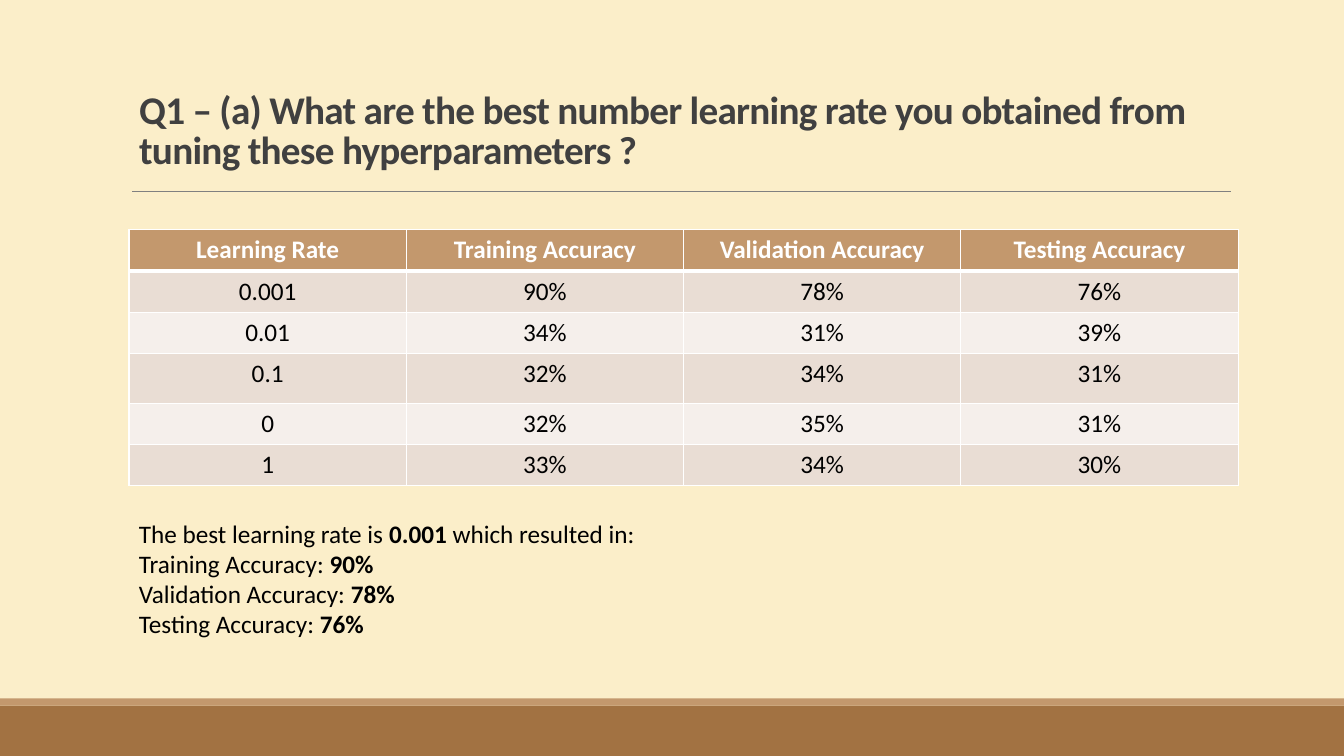
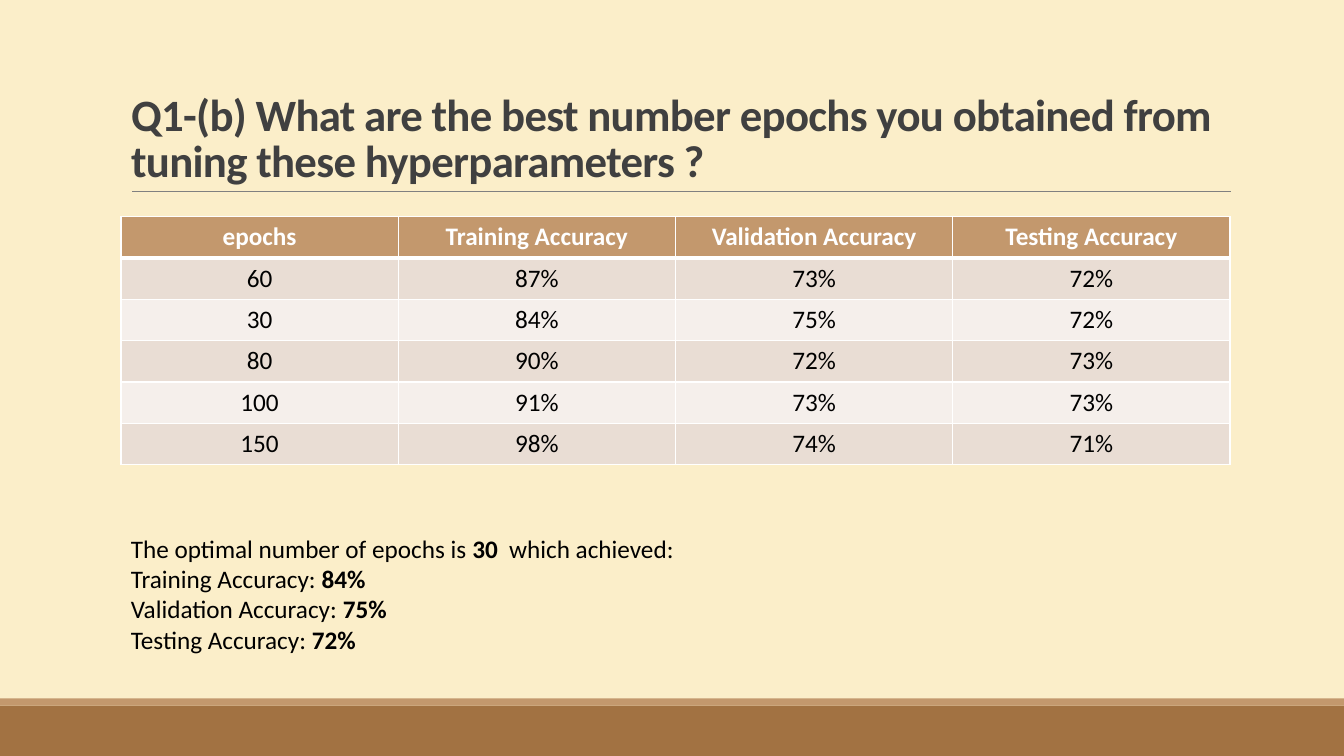
from pptx import Presentation
from pptx.dml.color import RGBColor
from pptx.enum.shapes import MSO_CONNECTOR as CONN, MSO_SHAPE as SHAPE
from pptx.enum.text import MSO_ANCHOR as ANCHOR, MSO_AUTO_SIZE as AUTO, PP_ALIGN as ALIGN
from pptx.oxml.ns import qn
from pptx.util import Pt
from lxml.etree import SubElement, Element

PX = 9144
W, H = 1333, 750
FONT = "Calibri"
TITLE_ONLY = 5
C = {
    "page": "FBEEC9", "footer": "A27242", "accent": "C3986D", "rule": "808080",
    "title": "404040", "text": "000000", "white": "FFFFFF",
    "odd": "E9DDD4", "even": "F5EFEB",
}
BANDS = [("footer", 700, 50), ("accent", 693, 7)]
RULE = (131, 1221, 190)
TABLE_W, ROW_H = 1100, 41
ACCURACIES = ["Training Accuracy", "Validation Accuracy", "Testing Accuracy"]

SLIDES = [
    {
        "title": "Q1 – (a) What are the best number learning rate you obtained from "
                 "tuning these hyperparameters ?",
        "title_box": (128, 17, 1102, 159), "title_size": 28,
        "table_at": (128, 228), "tall_rows": {3: 49},
        "factor": "Learning Rate",
        "rows": [
            ("0.001", "90%", "78%", "76%"),
            ("0.01", "34%", "31%", "39%"),
            ("0.1", "32%", "34%", "31%"),
            ("0", "32%", "35%", "31%"),
            ("1", "33%", "34%", "30%"),
        ],
        "best": 0,
        "summary": ("The best learning rate is ", " which resulted in:"),
        "summary_box": (128, 509, 1100, 162),
    },
    {
        "title": "Q1-(b) What are the best number epochs you obtained from "
                 "tuning these hyperparameters ?",
        "title_box": (120, 31, 1100, 159), "title_size": 32,
        "table_at": (120, 215), "tall_rows": {},
        "factor": "epochs",
        "rows": [
            ("60", "87%", "73%", "72%"),
            ("30", "84%", "75%", "72%"),
            ("80", "90%", "72%", "73%"),
            ("100", "91%", "73%", "73%"),
            ("150", "98%", "74%", "71%"),
        ],
        "best": 1,
        "summary": ("The optimal number of epochs is ", "  which achieved:"),
        "summary_box": (120, 524, 1100, 162),
    },
]


def px(*values):
    return [v * PX for v in values]


def rgb(name):
    return RGBColor.from_string(C[name])


def set_font(font, size, color, bold=None):
    font.name, font.size, font.bold = FONT, Pt(size), bold
    font.color.rgb = rgb(color)


def add_frame(slide):
    for color, top, height in BANDS:
        sp = slide.shapes.add_shape(SHAPE.RECTANGLE, *px(0, top, W, height))
        sp.shadow.inherit = False
        sp.fill.solid()
        sp.fill.fore_color.rgb = rgb(color)
        sp.line.fill.background()
    left, right, y = RULE
    rule = slide.shapes.add_connector(CONN.STRAIGHT, *px(left, y, right, y))
    rule.line.color.rgb = rgb("rule")
    rule.line.width = Pt(0.5)
    SubElement(rule._element.spPr, qn("a:effectLst"))


def add_title(slide, text, box, size):
    sp = slide.shapes.title
    sp.left, sp.top, sp.width, sp.height = px(*box)
    tf = sp.text_frame
    tf.text = text
    tf.word_wrap, tf.auto_size, tf.vertical_anchor = True, AUTO.NONE, ANCHOR.BOTTOM
    p = tf.paragraphs[0]
    p.alignment, p.line_spacing = ALIGN.LEFT, 0.85
    set_font(p.font, size, "title", True)
    p.runs[0]._r.get_or_add_rPr().set("spc", "-50")


def set_borders(cell, widths):
    tcPr = cell._tc.get_or_add_tcPr()
    for i, (side, width) in enumerate(widths.items()):
        ln = Element(qn(f"a:ln{side}"), w=str(Pt(width)))
        SubElement(SubElement(ln, qn("a:solidFill")), qn("a:srgbClr"), val=C["white"])
        tcPr.insert(i, ln)


def add_results(slide, at, rows, tall_rows):
    heights = [tall_rows.get(i, ROW_H) for i in range(len(rows))]
    n_cols = len(rows[0])
    table = slide.shapes.add_table(
        len(rows), n_cols, *px(*at, TABLE_W, sum(heights))).table
    for col in table.columns:
        col.width = TABLE_W // n_cols * PX
    for r, values in enumerate(rows):
        table.rows[r].height = heights[r] * PX
        fill = "accent" if r == 0 else "odd" if r % 2 else "even"
        for c, value in enumerate(values):
            cell = table.cell(r, c)
            cell.text = value
            cell.fill.solid()
            cell.fill.fore_color.rgb = rgb(fill)
            set_borders(cell, {"L": 1, "R": 1, "T": 3 if r == 1 else 1, "B": 3 if r == 0 else 1})
            p = cell.text_frame.paragraphs[0]
            p.alignment = ALIGN.CENTER
            set_font(p.font, 18, "text" if r else "white", r == 0)


def add_summary(slide, box, lines):
    tf = slide.shapes.add_textbox(*px(*box)).text_frame
    tf.word_wrap = True
    for i, (before, value, after) in enumerate(lines):
        p = tf.paragraphs[0] if i == 0 else tf.add_paragraph()
        set_font(p.font, 18, "text")
        for text, bold in ((before, False), (value, True), (after, False)):
            if text:
                r = p.add_run()
                r.text, r.font.bold = text, bold


def main():
    prs = Presentation()
    prs.slide_width, prs.slide_height = px(W, H)
    fill = prs.slide_master.background.fill
    fill.solid()
    fill.fore_color.rgb = rgb("page")
    for s in SLIDES:
        slide = prs.slides.add_slide(prs.slide_layouts[TITLE_ONLY])
        add_frame(slide)
        add_title(slide, s["title"], s["title_box"], s["title_size"])
        header = (s["factor"], *ACCURACIES)
        add_results(slide, s["table_at"], [header, *s["rows"]], s["tall_rows"])
        best, *scores = s["rows"][s["best"]]
        before, after = s["summary"]
        lines = [(before, best, after)]
        lines += [(f"{name}: ", score, "") for name, score in zip(ACCURACIES, scores)]
        add_summary(slide, s["summary_box"], lines)
    prs.save("out.pptx")


if __name__ == "__main__":
    main()
